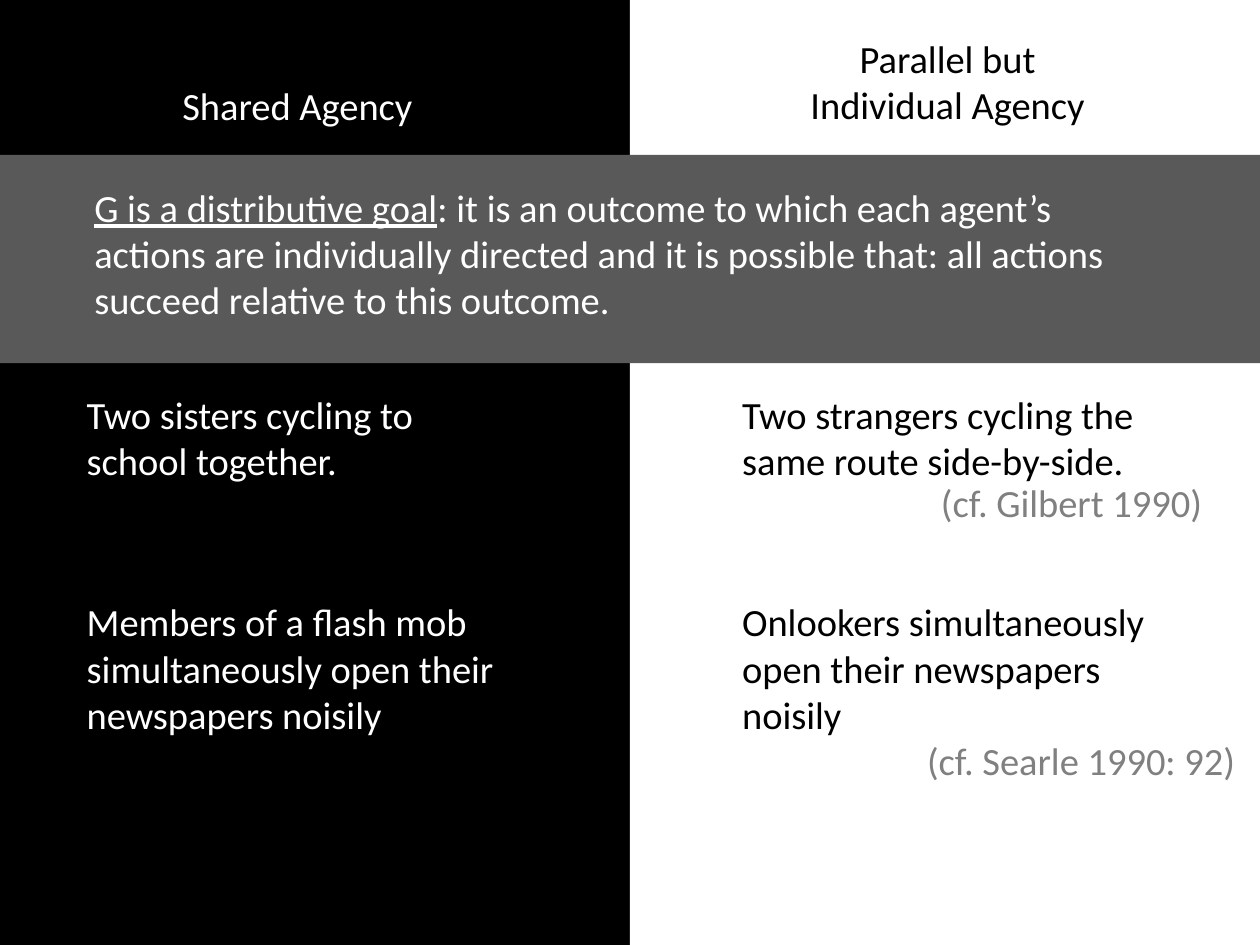
"""Build a slide contrasting shared agency with parallel but individual agency."""
from pptx import Presentation
from pptx.dml.color import RGBColor
from pptx.enum import shapes, text
from pptx.util import Pt

COLORS = {"black": "000000", "white": "FFFFFF", "band": "595959", "citation": "808080"}
FONT, SIZE = "Calibri", 22
LINE, INSET = 26.6, 3.6
WIDTH, HEIGHT = 720, 540
LEFT_COLUMN, RIGHT_COLUMN, COLUMN_WIDTH = 42.5, 417, 255
LEFT, CENTER, RIGHT = text.PP_ALIGN.LEFT, text.PP_ALIGN.CENTER, text.PP_ALIGN.RIGHT

PANEL = (WIDTH / 2, 0, WIDTH / 2, HEIGHT)
BAND = (-65.5, 88.5, 856, 119)
EXAMPLES = [
    (219.8, 2, "Two sisters cycling to school together.",
     "Two strangers cycling the same route side-by-side."),
    (338.4, 3, "Members of a flash mob simultaneously open their newspapers noisily",
     "Onlookers simultaneously open their newspapers noisily"),
]
HEADINGS = [
    (LEFT_COLUMN, 43.2, COLUMN_WIDTH, 1, "Shared Agency", "white", CENTER),
    (405.5, 16.6, 272, 2, "Parallel but\nIndividual Agency", "black", CENTER),
]
CITATIONS = [
    (484.5, 270, 209.5, 1, "(cf. Gilbert 1990)", "citation", RIGHT),
    (490.3, 417.6, COLUMN_WIDTH, 1, "(cf. Searle 1990: 92)", "citation", CENTER),
]
TERM = "G is a distributive goal"
DEFINITION = (": it is an outcome to which each agent’s actions are individually directed "
              "and it is possible that: all actions succeed relative to this outcome.")


def color(name):
    return RGBColor.from_string(COLORS[name])


def add_rectangle(slide, bounds, fill):
    shape = slide.shapes.add_shape(shapes.MSO_SHAPE.RECTANGLE, *map(Pt, bounds))
    shape.shadow.inherit = False
    shape.fill.solid()
    shape.fill.fore_color.rgb = color(fill)
    shape.line.fill.background()


def add_text(slide, left, top, width, lines, words, ink, alignment=LEFT):
    height = lines * LINE + 2 * INSET
    box = slide.shapes.add_textbox(Pt(left), Pt(top), Pt(width), Pt(height))
    box.text_frame.word_wrap = True
    box.text_frame.auto_size = text.MSO_AUTO_SIZE.SHAPE_TO_FIT_TEXT
    paragraph = box.text_frame.paragraphs[0]
    paragraph.text = words
    paragraph.alignment = alignment
    for run in paragraph.runs:
        format_run(run, ink)
    return paragraph


def format_run(run, ink):
    run.font.name = FONT
    run.font.size = Pt(SIZE)
    run.font.color.rgb = color(ink)


def main():
    presentation = Presentation()
    presentation.slide_width, presentation.slide_height = Pt(WIDTH), Pt(HEIGHT)
    slide = presentation.slides.add_slide(presentation.slide_layouts[6])
    slide.background.fill.solid()
    slide.background.fill.fore_color.rgb = color("black")

    add_rectangle(slide, PANEL, "white")
    for top, lines, shared, parallel in EXAMPLES:
        add_text(slide, LEFT_COLUMN, top, COLUMN_WIDTH, lines, shared, "white")
        add_text(slide, RIGHT_COLUMN, top, COLUMN_WIDTH, lines, parallel, "black")
    for label in CITATIONS + HEADINGS:
        add_text(slide, *label)

    add_rectangle(slide, BAND, "band")
    paragraph = add_text(slide, 46.8, 101.5, 625, 3, TERM, "white")
    paragraph.runs[0].font.underline = True
    definition = paragraph.add_run()
    definition.text = DEFINITION
    format_run(definition, "white")

    presentation.save("out.pptx")


if __name__ == "__main__":
    main()
